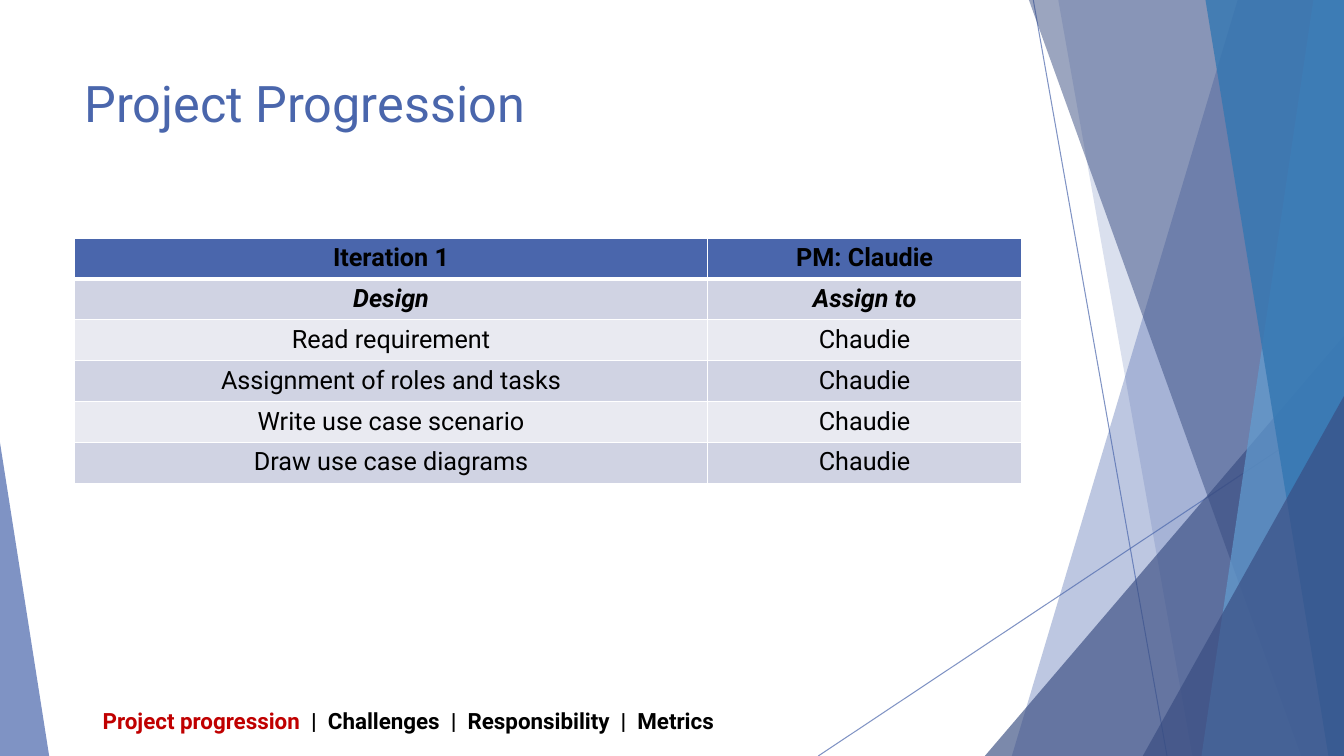
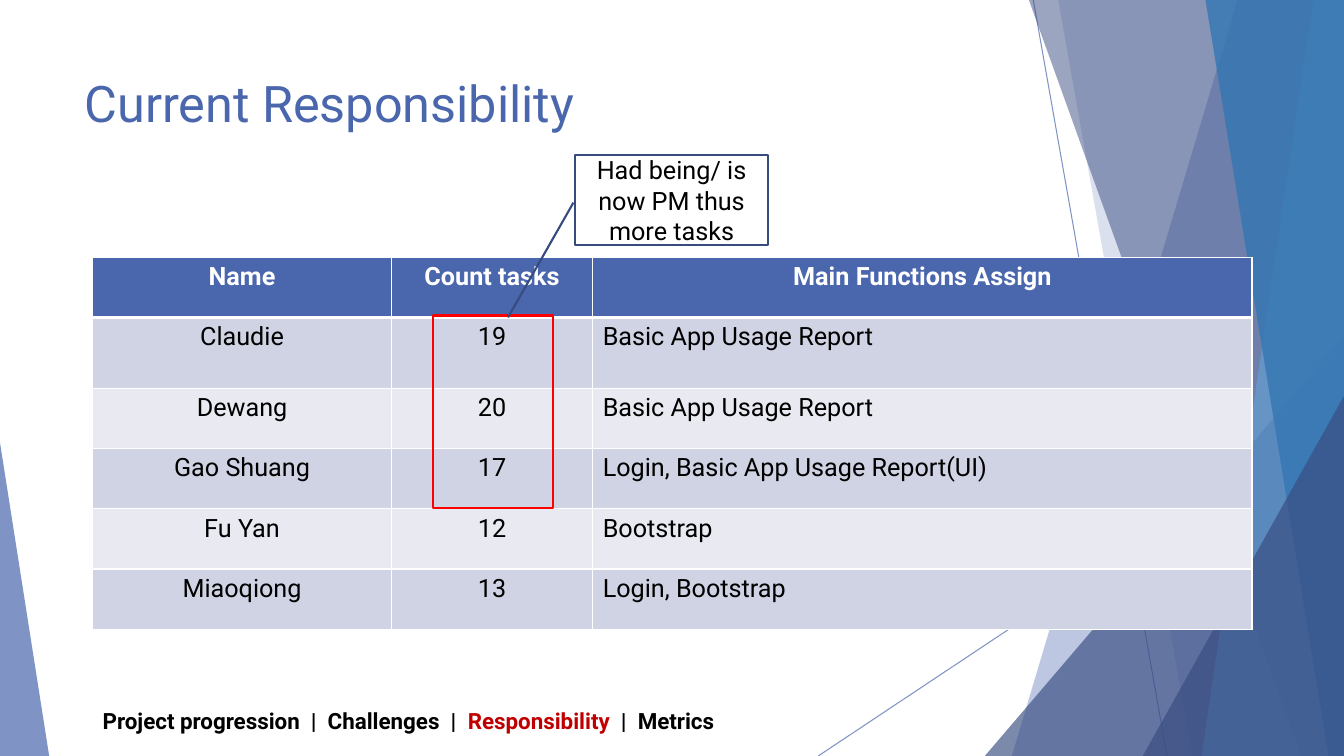
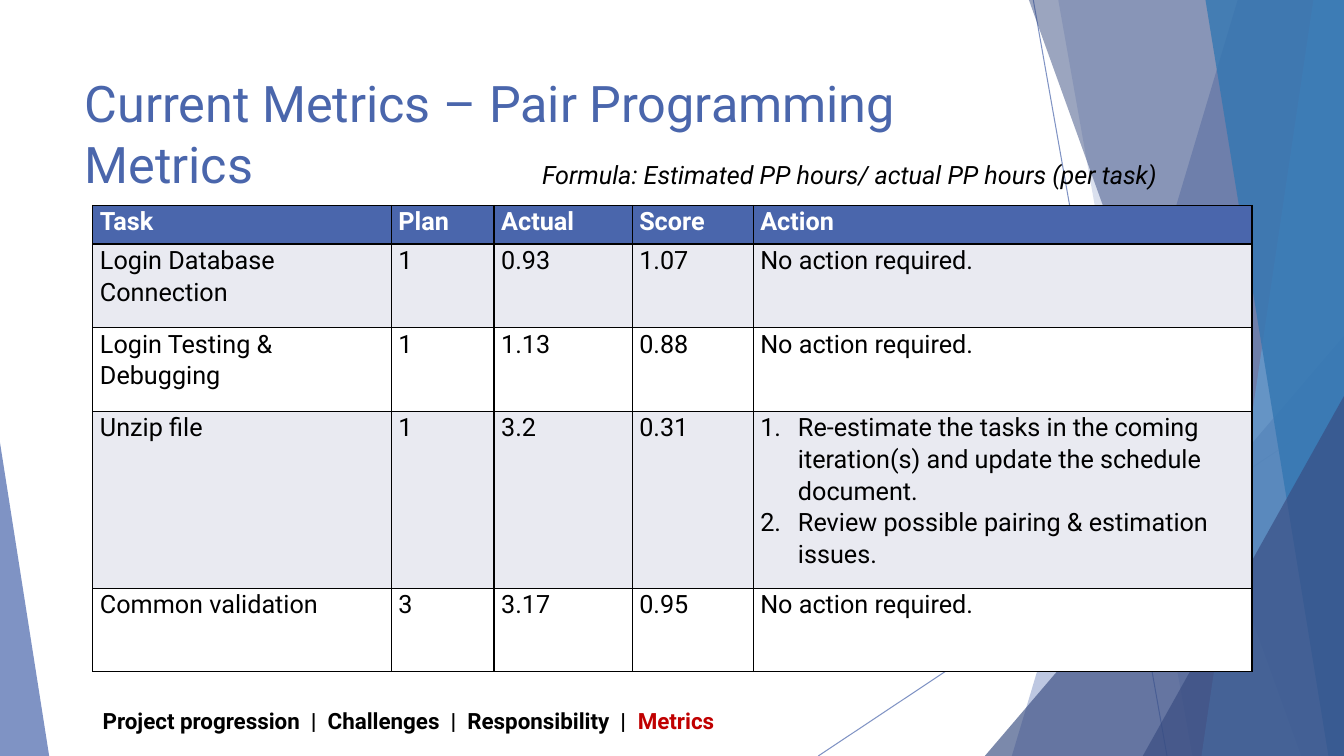
from lxml.etree import SubElement
from pptx import Presentation
from pptx.dml.color import RGBColor
from pptx.enum.shapes import MSO_CONNECTOR, MSO_SHAPE
from pptx.enum.text import MSO_ANCHOR, PP_ALIGN
from pptx.oxml.ns import qn
from pptx.util import Cm, Pt

FONT = "Roboto"
COLORS = {
    "blue": "4A66AC", "navy": "384C81", "sky": "629DD1", "azure": "3477B2",
    "callout": "374B7F", "band": "D0D3E3", "pale": "E9EAF1",
    "white": "FFFFFF", "black": "000000", "current": "C00000", "red": "FF0000",
}
RGB = {name: RGBColor.from_string(value) for name, value in COLORS.items()}
WIDTH, HEIGHT = 33.87, 19.05
LEFT, CENTER = PP_ALIGN.LEFT, PP_ALIGN.CENTER
SECTIONS = ["Project progression", "Challenges", "Responsibility", "Metrics"]

# Facets from back to front: kind, color, opacity in percent, geometry.
# line: x1, y1, x2, y2; strip: left edge at top and bottom;
# triangle: left, top, width, tip position.
FACETS = [
    ("line", "blue", 70, (26.04, 0, 29.41, HEIGHT)),
    ("line", "blue", 70, (WIDTH, 10.24, 20.62, HEIGHT)),
    ("strip", "blue", 36, (31.19, 25.5)),
    ("strip", "blue", 20, (26.67, 30.05)),
    ("triangle", "navy", 66, (24.82, 8.46, 9.05, 1)),
    ("strip", "navy", 50, (25.93, 32.79)),
    ("strip", "sky", 70, (33.1, 30.28)),
    ("strip", "azure", 80, (30.38, 33.48)),
    ("triangle", "navy", 66, (28.8, 9.98, 5.07, 1)),
    ("triangle", "blue", 70, (0, 11.15, 1.24, 0)),
]

PAGES = [
    {
        "title": "Project Progression", "section": "Project progression",
        "left": 1.88, "top": 6, "columns": [15.95, 7.92], "heights": [1.03] * 6,
        "aligns": [CENTER, CENTER], "header_align": CENTER, "header_color": "black",
        "bold_rows": 2, "italic_row": 1, "stripes": ["band", "pale"],
        "border": "white", "header_rule": 3, "margins": (0.2, 0.13), "spacing": None,
        "rows": [
            ["Iteration 1", "PM: Claudie"],
            ["Design", "Assign to"],
            ["Read requirement", "Chaudie"],
            ["Assignment of roles and tasks", "Chaudie"],
            ["Write use case scenario", "Chaudie"],
            ["Draw use case diagrams", "Chaudie"],
        ],
    },
    {
        "title": "Current Responsibility", "section": "Responsibility",
        "left": 2.34, "top": 6.48, "columns": [7.52, 5.08, 16.61],
        "heights": [1.52, 1.78] + [1.52] * 4,
        "aligns": [CENTER, CENTER, LEFT], "header_align": CENTER, "header_color": "white",
        "bold_rows": 1, "italic_row": None, "stripes": ["band", "pale"],
        "border": "white", "header_rule": 3, "margins": (0.25, 0.13), "spacing": None,
        "rows": [
            ["Name", "Count tasks", "Main Functions Assign"],
            ["Claudie", "19", "Basic App Usage Report"],
            ["Dewang", "20", "Basic App Usage Report"],
            ["Gao Shuang", "17", "Login, Basic App Usage Report(UI)"],
            ["Fu Yan", "12", "Bootstrap"],
            ["Miaoqiong", "13", "Login, Bootstrap"],
        ],
    },
    {
        "title": "Current Metrics – Pair Programming Metrics", "section": "Metrics",
        "left": 2.34, "top": 5.18, "columns": [7.52, 2.59, 3.48, 3.05, 12.57],
        "heights": [0.97, 2.11, 2.11, 4.45, 2.11],
        "aligns": [LEFT] * 5, "header_align": LEFT, "header_color": "white",
        "bold_rows": 1, "italic_row": None, "stripes": ["pale", "white"],
        "border": "black", "header_rule": 1, "margins": (0.18, 0), "spacing": 1.07,
        "rows": [
            ["Task", "Plan", "Actual", "Score", "Action"],
            ["Login Database Connection", "1", "0.93", "1.07", "No action required."],
            ["Login Testing & Debugging", "1", "1.13", "0.88", "No action required."],
            ["Unzip file", "1", "3.2", "0.31",
             "Re-estimate the tasks in the coming iteration(s) and update the schedule document.\n"
             "Review possible pairing & estimation issues."],
            ["Common validation", "3", "3.17", "0.95", "No action required."],
        ],
    },
]


def write_text(paragraph, text, size=18, color="black", bold=False, italic=False,
               align=LEFT, spacing=None, numbered=False):
    """Append one formatted run and set the format of its paragraph."""
    paragraph.alignment = align
    if spacing:
        paragraph.line_spacing = spacing
    if numbered:
        properties = paragraph._p.get_or_add_pPr()
        properties.set("marL", str(Cm(0.95)))
        properties.set("indent", str(Cm(-0.95)))
        SubElement(properties, qn("a:buFont"), typeface="+mj-lt")
        SubElement(properties, qn("a:buAutoNum"), type="arabicPeriod")
    run = paragraph.add_run()
    run.text = text
    font = run.font
    font.name, font.size, font.bold, font.italic = FONT, Pt(size), bold, italic
    font.color.rgb = RGB[color]


def add_text_box(slide, left, top, width, height, anchor=MSO_ANCHOR.TOP):
    """Add a wrapping text box and return its first paragraph."""
    frame = slide.shapes.add_textbox(Cm(left), Cm(top), Cm(width), Cm(height)).text_frame
    frame.word_wrap = True
    frame.vertical_anchor = anchor
    return frame.paragraphs[0]


presentation = Presentation()
presentation.slide_width, presentation.slide_height = Cm(WIDTH), Cm(HEIGHT)

for page in PAGES:
    slide = presentation.slides.add_slide(presentation.slide_layouts[6])

    for kind, color, opacity, geometry in FACETS:
        if kind == "line":
            shape = slide.shapes.add_connector(
                MSO_CONNECTOR.STRAIGHT, *[Cm(value) for value in geometry])
            shape.line.color.rgb = RGB[color]
            shape.line.width = Pt(0.75)
            SubElement(shape._element.spPr, qn("a:effectLst"))
        else:
            if kind == "strip":
                top_left, bottom_left = geometry
                builder = slide.shapes.build_freeform(Cm(top_left), 0)
                corners = [(WIDTH, 0), (WIDTH, HEIGHT), (bottom_left, HEIGHT)]
                builder.add_line_segments([(Cm(x), Cm(y)) for x, y in corners])
                shape = builder.convert_to_shape()
            else:
                left, top, width, tip = geometry
                shape = slide.shapes.add_shape(
                    MSO_SHAPE.ISOSCELES_TRIANGLE,
                    Cm(left), Cm(top), Cm(width), Cm(HEIGHT - top))
                shape.adjustments[0] = tip
            shape.fill.solid()
            shape.fill.fore_color.rgb = RGB[color]
            shape.line.fill.background()
            shape.shadow.inherit = False
        for color_element in shape._element.spPr.iter(qn("a:srgbClr")):
            SubElement(color_element, qn("a:alpha"), val=str(opacity * 1000))

    title = add_text_box(slide, 1.88, 1.7, 23.88, 3.66)
    write_text(title, page["title"], size=36, color="blue")

    rows, columns, heights = page["rows"], page["columns"], page["heights"]
    table = slide.shapes.add_table(
        len(rows), len(columns), Cm(page["left"]), Cm(page["top"]),
        Cm(sum(columns)), Cm(sum(heights))).table
    for index, width in enumerate(columns):
        table.columns[index].width = Cm(width)
    for row_index, row in enumerate(rows):
        table.rows[row_index].height = Cm(heights[row_index])
        header = row_index == 0
        for column_index, text in enumerate(row):
            cell = table.cell(row_index, column_index)
            side, edge = page["margins"]
            cell.margin_left = cell.margin_right = Cm(side)
            cell.margin_top = cell.margin_bottom = Cm(edge)
            for border in ["lnL", "lnR", "lnT", "lnB"]:
                under_header = (row_index, border) in [(0, "lnB"), (1, "lnT")]
                weight = page["header_rule"] if under_header else 1
                line = SubElement(cell._tc.get_or_add_tcPr(), qn("a:" + border),
                                  w=str(Pt(weight)))
                line_fill = SubElement(line, qn("a:solidFill"))
                SubElement(line_fill, qn("a:srgbClr"), val=COLORS[page["border"]])
            cell.fill.solid()
            stripe = page["stripes"][(row_index - 1) % 2]
            cell.fill.fore_color.rgb = RGB["blue" if header else stripe]
            items = text.split("\n")
            for item_index, item in enumerate(items):
                frame = cell.text_frame
                paragraph = frame.add_paragraph() if item_index else frame.paragraphs[0]
                write_text(
                    paragraph, item,
                    color=page["header_color"] if header else "black",
                    bold=row_index < page["bold_rows"],
                    italic=row_index == page["italic_row"],
                    align=page["header_align"] if header else page["aligns"][column_index],
                    spacing=page["spacing"], numbered=len(items) > 1)

    footer = add_text_box(slide, 2.34, 17.65, 29.21, 1.02, MSO_ANCHOR.MIDDLE)
    for index, section in enumerate(SECTIONS):
        if index:
            write_text(footer, "  |  ", size=16, bold=True)
        color = "current" if section == page["section"] else "black"
        write_text(footer, section, size=16, color=color, bold=True)

responsibility, metrics = presentation.slides[1], presentation.slides[2]

highlight = responsibility.shapes.add_shape(
    MSO_SHAPE.RECTANGLE, Cm(10.92), Cm(7.95), Cm(3.02), Cm(4.85))
callout = responsibility.shapes.add_shape(
    MSO_SHAPE.LINE_CALLOUT_1, Cm(14.5), Cm(3.91), Cm(4.85), Cm(2.26))
for index, value in enumerate([0.53, -0.01, 1.81, -0.35]):
    callout.adjustments[index] = value
for shape, color in [(highlight, "red"), (callout, "callout")]:
    shape.fill.background()
    shape.line.color.rgb = RGB[color]
    shape.line.width = Pt(1.5)
    shape.shadow.inherit = False
callout.text_frame.word_wrap = True
callout.text_frame.vertical_anchor = MSO_ANCHOR.MIDDLE
write_text(callout.text_frame.paragraphs[0], "Had being/ is now PM thus more tasks", align=CENTER)

formula = add_text_box(metrics, 13.41, 3.89, 16.79, 1.02)
write_text(formula, "Formula: Estimated PP hours/ actual PP hours (per task)", italic=True)

presentation.save("out.pptx")
